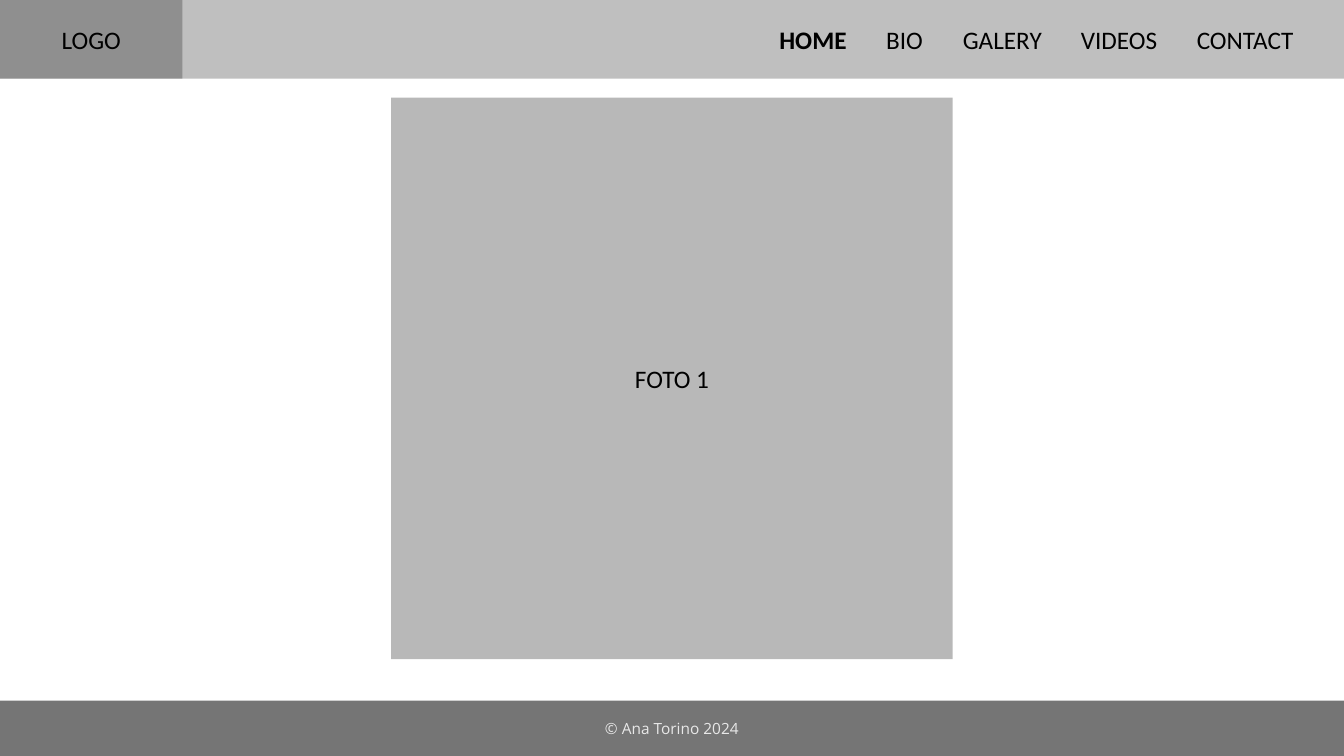
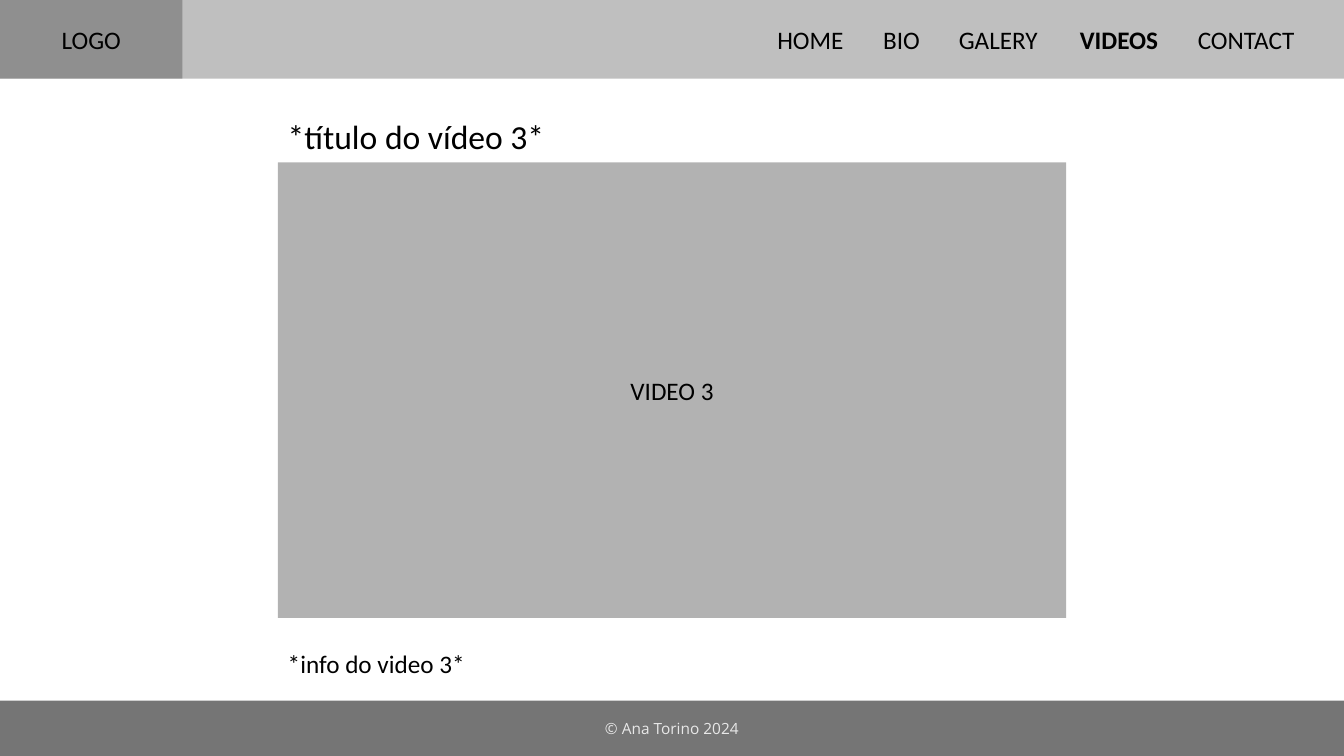
from dataclasses import dataclass

from lxml import etree
from pptx import Presentation
from pptx.dml.color import RGBColor
from pptx.enum.shapes import MSO_SHAPE
from pptx.enum.text import MSO_ANCHOR, PP_ALIGN
from pptx.oxml.ns import qn
from pptx.util import Inches, Pt

RECT = MSO_SHAPE.RECTANGLE
MIDDLE = MSO_ANCHOR.MIDDLE
LEFT, CENTER = PP_ALIGN.LEFT, PP_ALIGN.CENTER


@dataclass(frozen=True)
class Theme:
    ink: str = "000000"
    pale: str = "E8E8E8"
    font: str = "Calibri"
    foot_font: str = "Open Sans"
    title: int = 24
    body: int = 18
    small: int = 11
    # Opacity of the black fills, in percent
    bar: int = 25
    photo: int = 28
    video: int = 30
    foot: int = 54


THEME = Theme()
WIDE, HIGH = 13.33, 7.5
BAR_H, LOGO_W, FOOT_H = 0.78, 1.81, 0.55
MENU = ("HOME", "BIO", "GALERY", "VIDEOS", "CONTACT")
# Left edge of each menu item; the bold item shifts its neighbours
STOPS = {
    "HOME": (7.73, 8.79, 9.55, 10.72, 11.87),
    "VIDEOS": (7.71, 8.76, 9.51, 10.71, 11.88),
}


def add_text(para, text, size=THEME.body, color=THEME.ink,
             font=THEME.font, bold=False, align=CENTER):
    """Append one formatted run to a paragraph."""
    para.alignment = align
    run = para.add_run()
    run.text = text
    run.font.size = Pt(size)
    run.font.name = font
    run.font.bold = bold
    run.font.color.rgb = RGBColor.from_string(color)


def add_box(slide, left, top, width, height, alpha, text="", **style):
    """Add a translucent rectangle with centred text."""
    box = slide.shapes.add_shape(
        RECT, Inches(left), Inches(top), Inches(width), Inches(height))
    box.shadow.inherit = False
    box.line.fill.background()
    box.fill.solid()
    box.fill.fore_color.rgb = RGBColor.from_string(THEME.ink)
    color = box.fill._xPr.find(qn("a:solidFill"))[0]
    etree.SubElement(color, qn("a:alpha"), val=str(alpha * 1000))
    frame = box.text_frame
    frame.vertical_anchor = MIDDLE
    if text:
        add_text(frame.paragraphs[0], text, **style)
    return box


def add_label(slide, left, top, width, height, text, **style):
    """Add a left-aligned text box."""
    label = slide.shapes.add_textbox(
        Inches(left), Inches(top), Inches(width), Inches(height))
    label.text_frame.word_wrap = True
    add_text(label.text_frame.paragraphs[0], text, align=LEFT, **style)


def add_menu(slide, active):
    """Add the top bar, its items set on tab stops."""
    bar = add_box(slide, 0, 0, WIDE, BAR_H, THEME.bar)
    frame = bar.text_frame
    frame.margin_left = frame.margin_right = 0
    para = frame.paragraphs[0]
    for item in MENU:
        add_text(para, "\t" + item, bold=item == active, align=LEFT)
    tabs = etree.SubElement(para._p.get_or_add_pPr(), qn("a:tabLst"))
    for stop in STOPS[active]:
        etree.SubElement(tabs, qn("a:tab"), pos=str(Inches(stop)), algn="l")


def add_page(deck, active):
    """Add a slide with the shared header and footer."""
    slide = deck.slides.add_slide(deck.slide_layouts[6])
    add_menu(slide, active)
    add_box(slide, 0, 0, LOGO_W, BAR_H, THEME.bar, "LOGO")
    add_box(slide, 0, HIGH - FOOT_H, WIDE, FOOT_H, THEME.foot,
            "© Ana Torino 2024", size=THEME.small, color=THEME.pale,
            font=THEME.foot_font)
    return slide


def add_home(deck):
    slide = add_page(deck, "HOME")
    side = 5.57
    add_box(slide, (WIDE - side) / 2, 0.97, side, side, THEME.photo, "FOTO 1")


def add_video(deck):
    slide = add_page(deck, "VIDEOS")
    width = 7.82
    left = (WIDE - width) / 2
    add_label(slide, left, 1.1, 3.57, 0.5, "*título do vídeo 3*",
              size=THEME.title)
    add_box(slide, left, 1.61, width, 4.52, THEME.video, "VIDEO 3")
    add_label(slide, left, 6.38, 2.41, 0.4, "*info do video 3*")


def main():
    deck = Presentation()
    deck.slide_width, deck.slide_height = Inches(WIDE), Inches(HIGH)
    add_home(deck)
    add_video(deck)
    deck.save("out.pptx")


if __name__ == "__main__":
    main()
